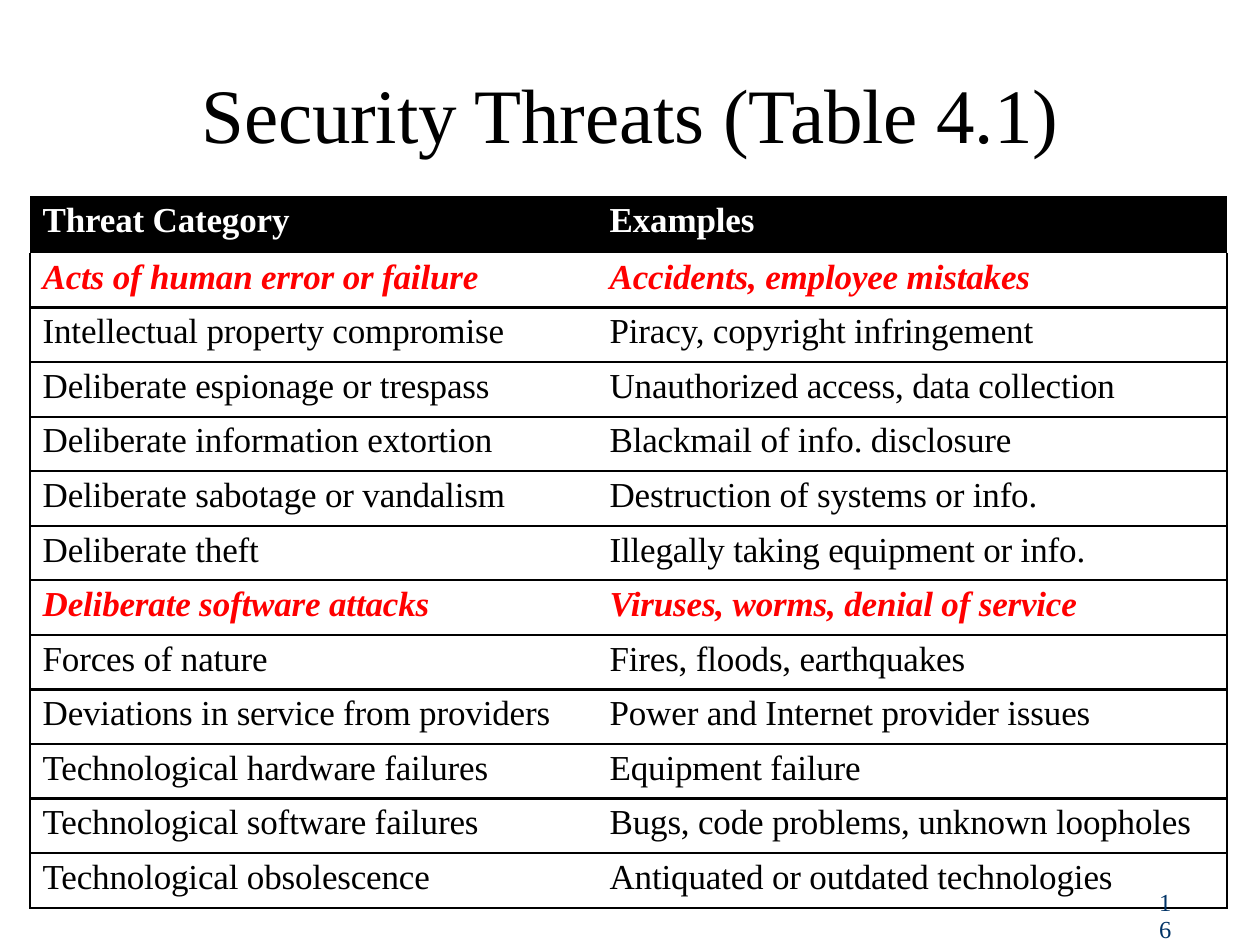
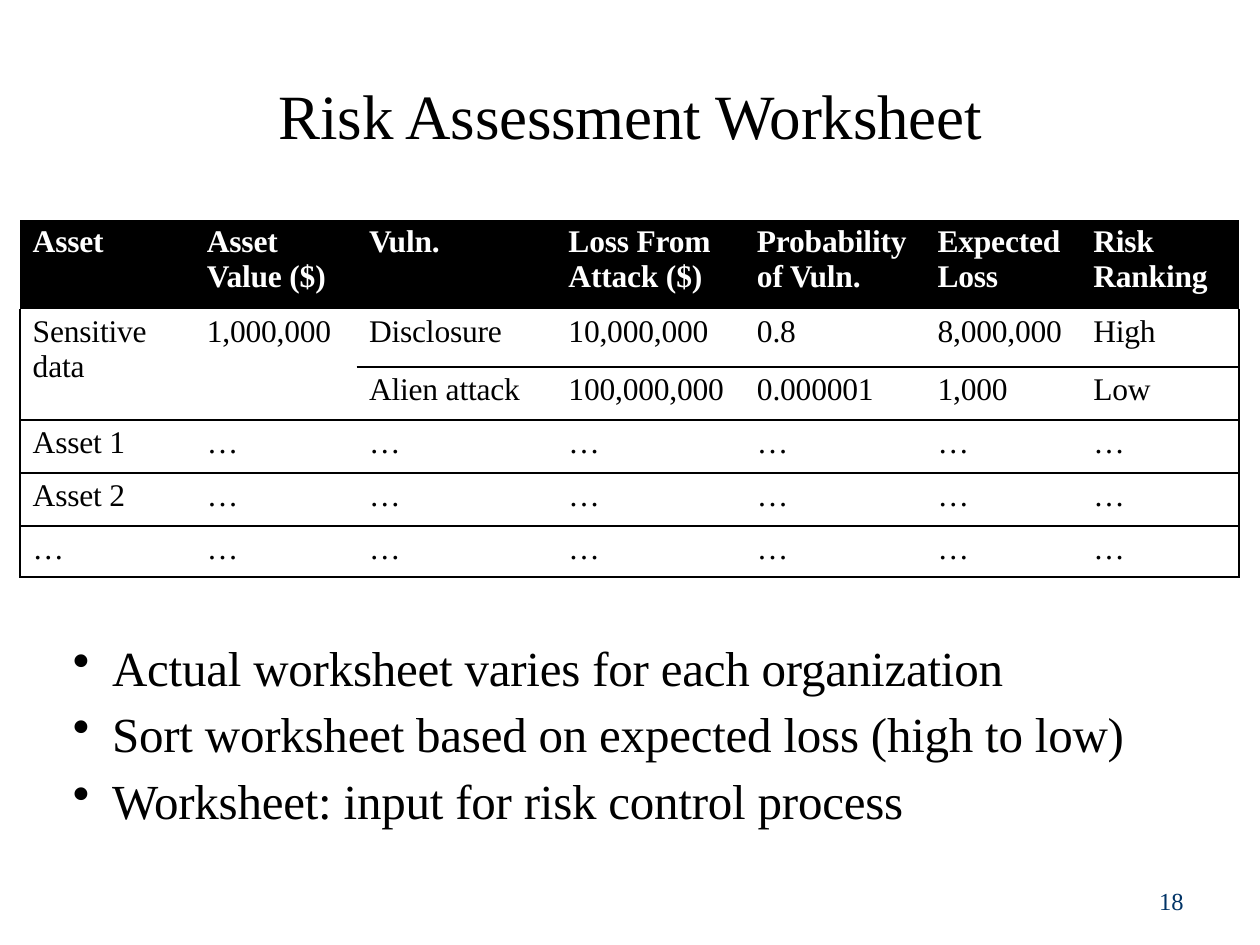
import pptx
import pptx.dml.color
import pptx.enum.text
import pptx.oxml
import pptx.oxml.ns
import pptx.util

Cm = pptx.util.Cm
Pt = pptx.util.Pt

# Shared look
COLORS = {"ink": "000000", "paper": "FFFFFF", "alert": "FF0000", "number": "003366"}
FONT = "Times New Roman"
BORDER_WIDTH = Pt(1.5)
TIGHT_SPACING = "-10"
NO_STYLE = "{2D5ABB26-0587-4C30-8999-92F81FD0307C}"
CENTER = pptx.enum.text.PP_ALIGN.CENTER

# Content
DOTS = ("…",) * 6

THREATS = {
    "title": {"text": "Security Threats (Table 4.1)", "size": 44, "box": (3.99, 1.32, 17.42, 1.93)},
    "number": {"text": "16", "line": 15.3, "indent": 0, "box": (23.37, 17.93, 0.48, 0.56)},
    "table": {
        "corner": (0.61, 3.96),
        "size": 20,
        "columns": (11.12, 13.0),
        "indents": (0.25, 0.56),
        "heights": (1.14,) + (1.1,) * 12,
        "highlights": (1, 7),
        "merges": (),
        "rows": [
            ("Threat Category", "Examples"),
            ("Acts of human error or failure", "Accidents, employee mistakes"),
            ("Intellectual property compromise", "Piracy, copyright infringement"),
            ("Deliberate espionage or trespass", "Unauthorized access, data collection"),
            ("Deliberate information extortion", "Blackmail of info. disclosure"),
            ("Deliberate sabotage or vandalism", "Destruction of systems or info."),
            ("Deliberate theft", "Illegally taking equipment or info."),
            ("Deliberate software attacks", "Viruses, worms, denial of service"),
            ("Forces of nature", "Fires, floods, earthquakes"),
            ("Deviations in service from providers", "Power and Internet provider issues"),
            ("Technological hardware failures", "Equipment failure"),
            ("Technological software failures", "Bugs, code problems, unknown loopholes"),
            ("Technological obsolescence", "Antiquated or outdated technologies"),
        ],
    },
}

WORKSHEET = {
    "title": {"text": "Risk Assessment Worksheet", "size": 36, "box": (5.53, 1.52, 14.35, 1.6)},
    "number": {"text": "18", "line": 16.3, "indent": 0.1, "box": (23.27, 17.88, 0.71, 0.61)},
    "table": {
        "corner": (0.41, 4.43),
        "size": 18,
        "columns": (3.18, 3.6, 3.81, 3.96, 3.66, 3.12, 3.23),
        "indents": (0.25, 0.58, 0.25, 0.46, 0.3, 0.28, 0.3),
        "heights": (1.8, 1.17, 1.07, 1.07, 1.07, 1.02),
        "highlights": (),
        "merges": (((1, 0), (2, 0)), ((1, 1), (2, 1))),
        "rows": [
            ("Asset", "Asset Value ($)", "Vuln.", "Loss From Attack ($)",
             "Probability of Vuln.", "Expected Loss", "Risk Ranking"),
            ("Sensitive data", "1,000,000", "Disclosure", "10,000,000", "0.8", "8,000,000", "High"),
            ("", "", "Alien attack", "100,000,000", "0.000001", "1,000", "Low"),
            ("Asset 1",) + DOTS,
            ("Asset 2",) + DOTS,
            ("…",) + DOTS,
        ],
    },
}

NOTES = {
    "box": (1.42, 12.67, 21.49, 4.09),
    "items": [
        "Actual worksheet varies for each organization",
        "Sort worksheet based on expected loss (high to low)",
        "Worksheet: input for risk control process",
    ],
}


def apply_format(target, values):
    for name, value in values.items():
        setattr(target, name, value)


def write(paragraph, text, size, color, layout=None, indent=0, hanging=0, **style):
    """Put one formatted run in a paragraph."""
    run = paragraph.add_run()
    run.text = text
    apply_format(run.font, {"name": FONT, "size": Pt(size), **style})
    run.font.color.rgb = pptx.dml.color.RGBColor.from_string(COLORS[color])
    run.font._element.set("spc", TIGHT_SPACING)
    apply_format(paragraph, layout or {})
    properties = paragraph._p.get_or_add_pPr()
    properties.set("marL", str(Cm(indent)))
    properties.set("indent", str(Cm(hanging)))


def add_text_frame(slide, box, top_margin=0, wrap=True):
    frame = slide.shapes.add_textbox(*map(Cm, box)).text_frame
    apply_format(frame, {
        "margin_left": 0, "margin_right": 0, "margin_bottom": 0,
        "margin_top": Cm(top_margin), "word_wrap": wrap,
    })
    return frame


def add_border(cell, sides):
    """Draw black lines on the named sides; they precede the fill in the cell."""
    properties = cell._tc.get_or_add_tcPr()
    for position, side in enumerate(sides):
        properties.insert(position, pptx.oxml.parse_xml(
            f'<a:ln{side} {pptx.oxml.ns.nsdecls("a")} w="{BORDER_WIDTH}"><a:solidFill>'
            f'<a:srgbClr val="{COLORS["ink"]}"/></a:solidFill></a:ln{side}>'))


def add_grid(slide, data):
    rows, columns = data["rows"], data["columns"]
    frame = slide.shapes.add_table(
        len(rows), len(columns), *map(Cm, data["corner"]),
        Cm(sum(columns)), Cm(sum(data["heights"])))
    table = frame.table
    apply_format(table, {"first_row": False, "horz_banding": False})
    table._tbl.tblPr.find(pptx.oxml.ns.qn("a:tableStyleId")).text = NO_STYLE
    for column, width in zip(table.columns, columns):
        column.width = Cm(width)
    for row, height in zip(table.rows, data["heights"]):
        row.height = Cm(height)

    for row_index, texts in enumerate(rows):
        header = row_index == 0
        highlight = row_index in data["highlights"]
        color = "paper" if header else "alert" if highlight else "ink"
        for column_index, text in enumerate(texts):
            cell = table.cell(row_index, column_index)
            apply_format(cell, {
                "margin_left": 0, "margin_right": Cm(0.1),
                "margin_top": Cm(0.1), "margin_bottom": 0,
            })
            if header:
                cell.fill.solid()
                cell.fill.fore_color.rgb = pptx.dml.color.RGBColor.from_string(COLORS["ink"])
            else:
                cell.fill.background()
                left = ["L"] if column_index == 0 else []
                right = ["R"] if column_index == len(columns) - 1 else []
                add_border(cell, left + right + ["B"])
            if text:
                write(cell.text_frame.paragraphs[0], text, data["size"], color,
                      {"space_before": Pt(2.5)}, data["indents"][column_index],
                      bold=header or highlight, italic=highlight)
    for first, last in data["merges"]:
        table.cell(*first).merge(table.cell(*last))


def add_notes(slide, notes):
    frame = add_text_frame(slide, notes["box"], top_margin=0.18)
    for index, text in enumerate(notes["items"]):
        paragraph = frame.add_paragraph() if index else frame.paragraphs[0]
        write(paragraph, text, 28, "ink", {"space_before": Pt(4.3 if index else 5.3)},
              indent=0.84, hanging=-0.79)
        paragraph._p.get_or_add_pPr().append(pptx.oxml.parse_xml(
            f'<a:buChar {pptx.oxml.ns.nsdecls("a")} char="•"/>'))


def add_table_slide(presentation, content):
    """Build the title, table and page number that every slide has."""
    slide = presentation.slides.add_slide(presentation.slide_layouts[6])
    title, number = content["title"], content["number"]
    frame = add_text_frame(slide, title["box"], top_margin=0.03, wrap=False)
    write(frame.paragraphs[0], title["text"], title["size"], "ink",
          {"alignment": CENTER, "space_before": Pt(1)})
    add_grid(slide, content["table"])
    frame = add_text_frame(slide, number["box"])
    write(frame.paragraphs[0], number["text"], 14, "number",
          {"line_spacing": Pt(number["line"])}, number["indent"])
    return slide


def main():
    presentation = pptx.Presentation()
    apply_format(presentation, {"slide_width": Cm(25.4), "slide_height": Cm(19.05)})
    add_table_slide(presentation, THREATS)
    add_notes(add_table_slide(presentation, WORKSHEET), NOTES)
    presentation.save("out.pptx")


if __name__ == "__main__":
    main()
